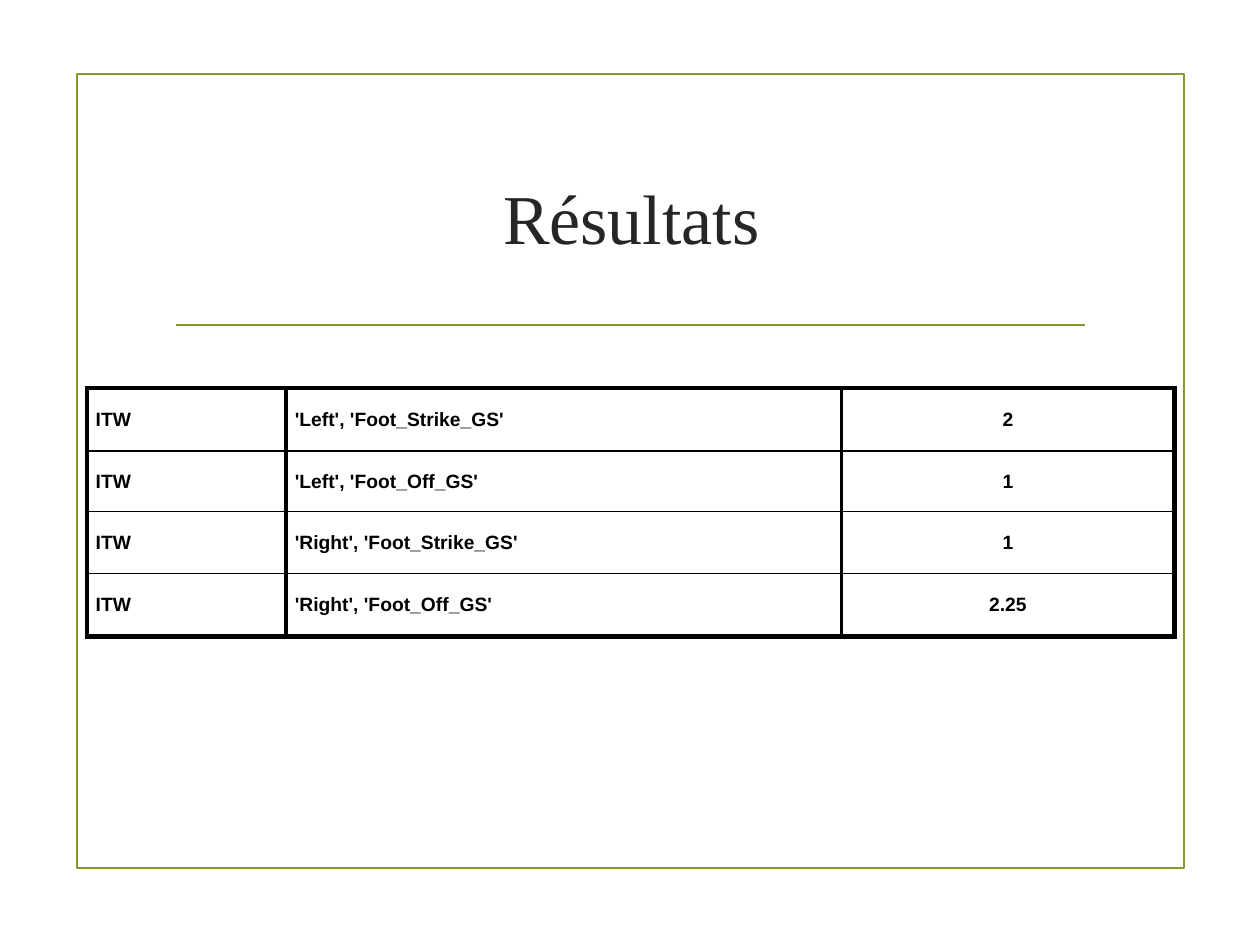
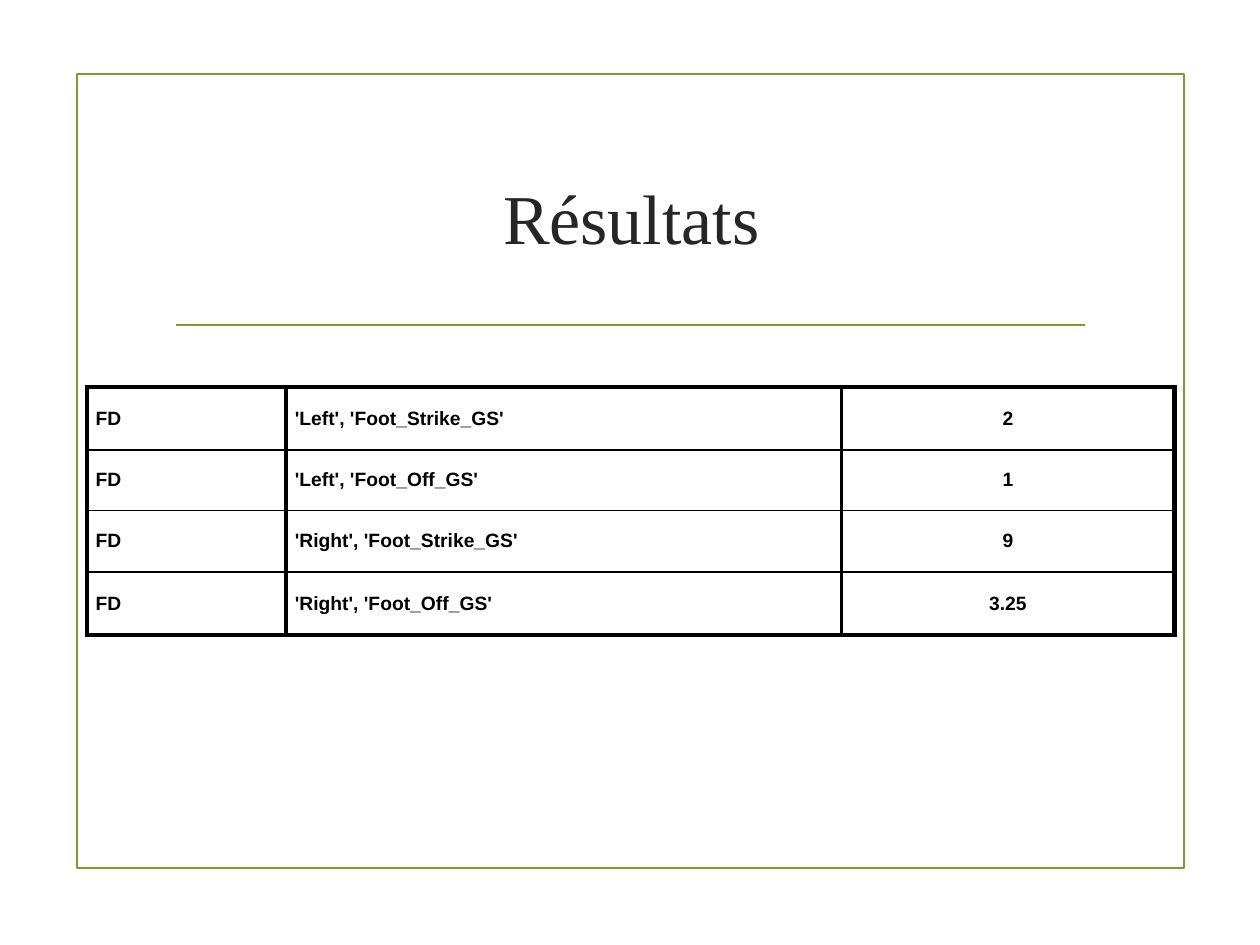
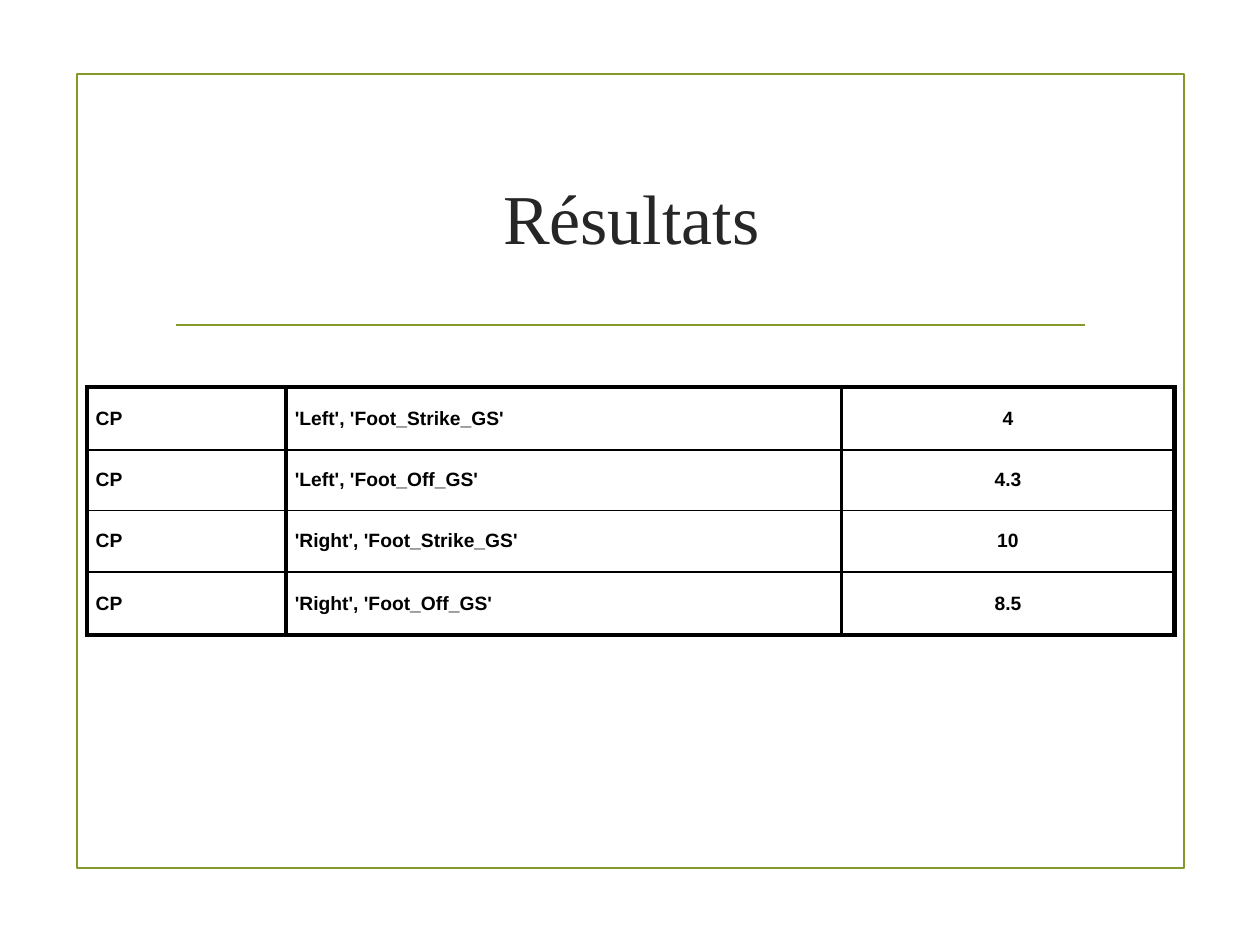
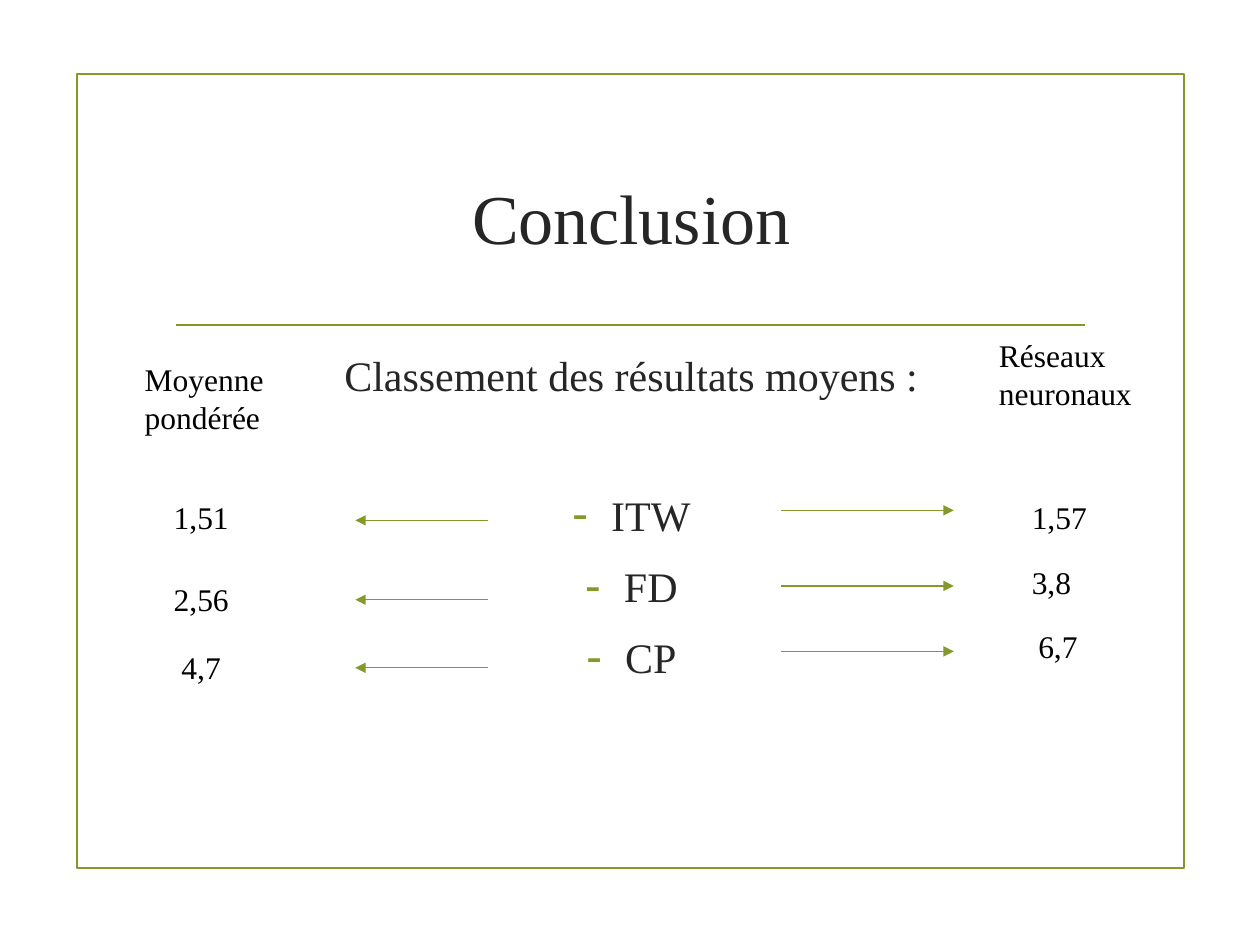
import pptx
import pptx.util
import pptx.dml.color
import pptx.enum.shapes
import pptx.enum.text
import pptx.oxml
import pptx.oxml.ns

Inches = pptx.util.Inches
Pt = pptx.util.Pt
RGBColor = pptx.dml.color.RGBColor
PP_ALIGN = pptx.enum.text.PP_ALIGN
MSO_ANCHOR = pptx.enum.text.MSO_ANCHOR
MSO_AUTO_SIZE = pptx.enum.text.MSO_AUTO_SIZE

# Shared look
GREEN = RGBColor(0x83, 0x99, 0x2A)
DARK = RGBColor(0x26, 0x26, 0x26)
BLACK = RGBColor(0, 0, 0)
SERIF = "Times New Roman"
SANS = "Arial"
TITLE_ONLY, TITLE_AND_BODY = 5, 1

# Results tables
COL_WIDTHS = [1.58, 4.41, 2.64]
ROW_HEIGHTS = [0.5, 0.48, 0.49, 0.5]
EVENTS = ["'Left', 'Foot_Strike_GS'", "'Left', 'Foot_Off_GS'",
          "'Right', 'Foot_Strike_GS'", "'Right', 'Foot_Off_GS'"]
# group, values, table top, bottom border width
RESULTS = [
    ("ITW", ["2", "1", "1", "2.25"], 3.08, 3),
    ("FD", ["2", "1", "9", "3.25"], 3.07, 2.25),
    ("CP", ["4", "4.3", "10", "8.5"], 3.07, 2.25),
]


def add_xml(parent, tag, **attrs):
    child = pptx.oxml.parse_xml(f"<a:{tag} {pptx.oxml.ns.nsdecls('a')}/>")
    for name, value in attrs.items():
        child.set(name, str(value))
    parent.append(child)
    return child


def add_run(p, text, size, color, font=SERIF, bold=None):
    r = p.add_run()
    r.text = text
    r.font.name = font
    r.font.size = Pt(size)
    r.font.bold = bold
    r.font.color.rgb = color


def place(sp, left, top, width, height):
    sp.left, sp.top = Inches(left), Inches(top)
    sp.width, sp.height = Inches(width), Inches(height)


def add_line(slide, x1, y1, x2, y2, width, arrow=False):
    line = slide.shapes.add_connector(
        pptx.enum.shapes.MSO_CONNECTOR.STRAIGHT,
        Inches(x1), Inches(y1), Inches(x2), Inches(y2))
    line.line.color.rgb = GREEN
    line.line.width = Pt(width)
    if arrow:
        add_xml(line.line._get_or_add_ln(), "tailEnd", type="triangle")
    add_xml(line._element.spPr, "effectLst")
    return line


def add_master_frame(prs, slide):
    """Draw the frame and the title rule, then move them to the master."""
    frame = slide.shapes.add_shape(
        pptx.enum.shapes.MSO_SHAPE.RECTANGLE,
        Inches(0.61), Inches(0.59), Inches(8.79), Inches(6.3))
    frame.shadow.inherit = False
    frame.fill.background()
    frame.line.color.rgb = GREEN
    frame.line.width = Pt(1.25)
    rule = add_line(slide, 1.4, 2.58, 8.61, 2.58, 1.25)
    tree = prs.slide_master.shapes._spTree
    for i, sp in enumerate([frame, rule]):
        sp._element.xpath("./*/p:cNvPr")[0].set("id", str(101 + i))
        tree.insert(2 + i, sp._element)


def add_slide(prs, layout, title):
    slide = prs.slides.add_slide(prs.slide_layouts[layout])
    sp = slide.shapes.title
    place(sp, 1.29, 1, 7.44, 1.43)
    tf = sp.text_frame
    tf.auto_size = MSO_AUTO_SIZE.NONE
    tf.vertical_anchor = MSO_ANCHOR.MIDDLE
    p = tf.paragraphs[0]
    p.alignment = PP_ALIGN.CENTER
    add_run(p, title, 40, DARK)
    return slide


def set_borders(cell, widths):
    tc_pr = cell._tc.get_or_add_tcPr()
    for side, width in zip("LRTB", widths):
        ln = add_xml(tc_pr, "ln" + side, w=Pt(width))
        add_xml(add_xml(ln, "solidFill"), "srgbClr", val=BLACK)


def add_results_table(slide, group, values, top, bottom_border):
    rows, cols = len(values), len(COL_WIDTHS)
    table = slide.shapes.add_table(
        rows, cols, Inches(0.69), Inches(top),
        Inches(sum(COL_WIDTHS)), Inches(sum(ROW_HEIGHTS))).table
    table.first_row = table.horz_banding = False
    for col, width in zip(table.columns, COL_WIDTHS):
        col.width = Inches(width)
    for row, height in zip(table.rows, ROW_HEIGHTS):
        row.height = Inches(height)
    for i, (event, value) in enumerate(zip(EVENTS, values)):
        for j, text in enumerate([group, event, value]):
            cell = table.cell(i, j)
            cell.vertical_anchor = MSO_ANCHOR.MIDDLE
            cell.margin_left = cell.margin_right = Inches(0.07)
            cell.margin_top = cell.margin_bottom = Inches(0.07)
            set_borders(cell, [3 if j == 0 else 2.25,
                               3 if j == cols - 1 else 2.25,
                               2.25 if i == 0 else 1,
                               bottom_border if i == rows - 1 else 1])
            cell.fill.background()
            p = cell.text_frame.paragraphs[0]
            p.alignment = PP_ALIGN.CENTER if j == cols - 1 else PP_ALIGN.LEFT
            add_run(p, text, 11, BLACK, SANS, True)


def set_bullet(p, dash):
    p_pr = p._p.get_or_add_pPr()
    indent = Inches(0.31) if dash else 0
    p_pr.set("marL", str(indent))
    p_pr.set("indent", str(-indent))
    if dash:
        add_xml(add_xml(p_pr, "buClr"), "srgbClr", val=GREEN)
        add_xml(p_pr, "buSzPct", val=115000)
        add_xml(p_pr, "buFont", typeface=SANS)
        add_xml(p_pr, "buChar", char="-")
    else:
        add_xml(p_pr, "buNone")


def fill_ranking(sp, heading, groups):
    place(sp, 1.29, 2.72, 7.44, 3.77)
    tf = sp.text_frame
    tf.auto_size = MSO_AUTO_SIZE.NONE
    for i, text in enumerate([heading] + groups):
        p = tf.paragraphs[0] if i == 0 else tf.add_paragraph()
        set_bullet(p, dash=i > 0)
        p.alignment = PP_ALIGN.CENTER
        # The list stands one line below its heading
        p.space_before = Pt({0: 0, 1: 45.2}.get(i, 5.8))
        p.space_after = Pt(6)
        add_run(p, text, 24, DARK)


def add_label(slide, text, left, top, width, height, inset=0.1):
    sp = slide.shapes.add_textbox(
        Inches(left), Inches(top), Inches(width), Inches(height))
    tf = sp.text_frame
    tf.word_wrap = True
    tf.auto_size = MSO_AUTO_SIZE.SHAPE_TO_FIT_TEXT
    tf.margin_left = Inches(inset)
    add_run(tf.paragraphs[0], text, 18, BLACK)


def add_conclusion(prs):
    slide = add_slide(prs, TITLE_AND_BODY, "Conclusion")
    fill_ranking(slide.placeholders[1], "Classement des résultats moyens :",
                 [group for group, *_ in RESULTS])

    # Arrows from each group to its two scores
    for y in [4.13, 4.76, 5.3]:
        add_line(slide, 3.87, y, 2.82, y, 0.75, arrow=True)
    for y in [4.05, 4.65, 5.17]:
        add_line(slide, 6.2, y, 7.57, y, 0.75, arrow=True)

    # Method names and scores
    add_label(slide, "Moyenne pondérée", 1.05, 2.81, 1.5, 0.71)
    add_label(slide, "Réseaux neuronaux", 7.83, 2.62, 1.48, 0.71)
    for text, left, top, inset in [
            ("1,51", 1.28, 3.9, 0.1), ("2,56", 1.28, 4.55, 0.1),
            ("4,7", 1.28, 5.09, 0.16), ("1,57", 8.09, 3.9, 0.1),
            ("3,8", 8.09, 4.42, 0.1), ("6,7", 8.02, 4.93, 0.22)]:
        add_label(slide, text, left, top, 0.95, 0.42, inset)


def main():
    prs = pptx.Presentation()
    prs.slide_width, prs.slide_height = Inches(10), Inches(7.5)
    for result in RESULTS:
        slide = add_slide(prs, TITLE_ONLY, "Résultats")
        add_results_table(slide, *result)
    add_conclusion(prs)
    add_master_frame(prs, slide)
    prs.save("out.pptx")


if __name__ == "__main__":
    main()
